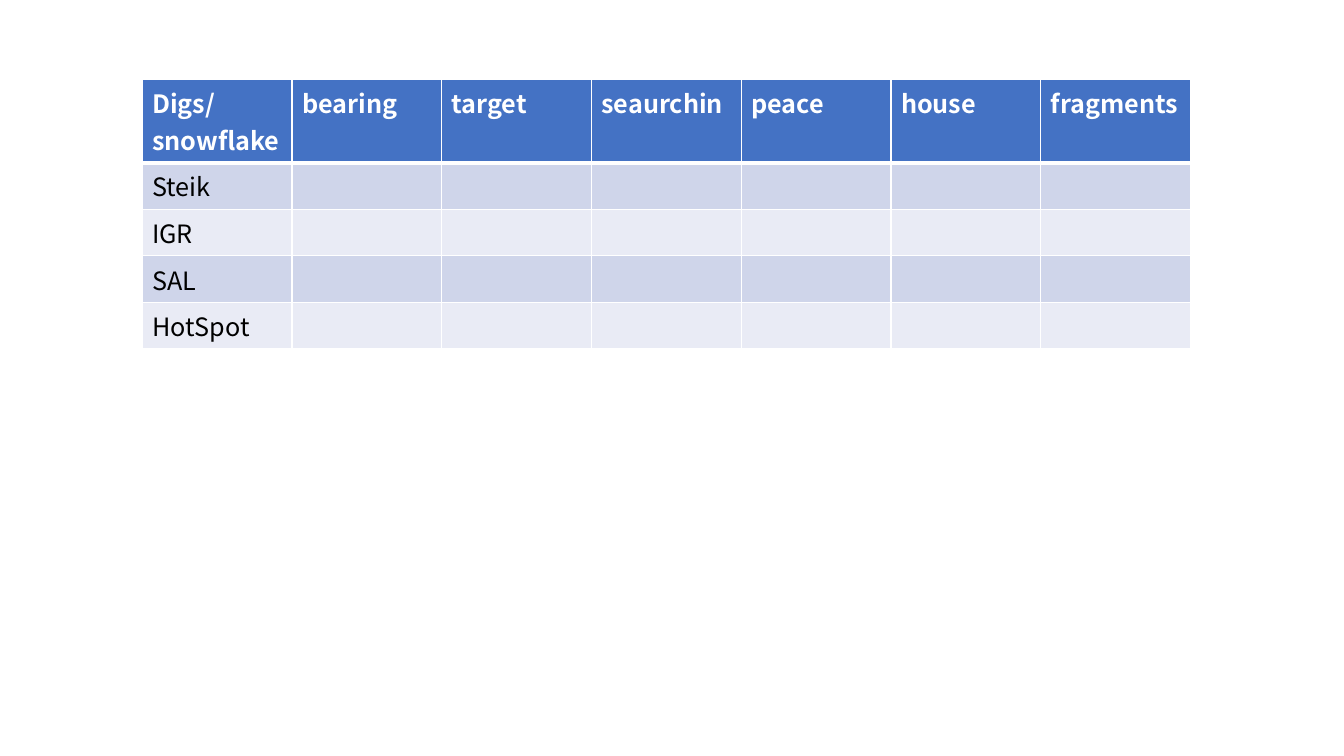
from dataclasses import dataclass

from lxml.etree import SubElement
from pptx import Presentation
from pptx.dml.color import RGBColor
from pptx.oxml.ns import qn
from pptx.util import Inches, Pt


@dataclass(frozen=True)
class Theme:
    """Colours, font and sizes of the slide."""
    font: str = "Noto Sans CJK SC"
    size: int = 18
    header_fill: str = "4472C4"
    band_fills: tuple = ("CFD5EA", "E9EBF5")
    header_text: str = "FFFFFF"
    body_text: str = "000000"
    grid: str = "FFFFFF"
    thin: int = 1
    thick: int = 3


THEME = Theme()
HEADINGS = ["Digs/snowflake", "bearing", "target", "seaurchin", "peace", "house", "fragments"]
METHODS = ["Steik", "IGR", "SAL", "HotSpot"]


def border_cell(cell, widths):
    """Draw the cell borders from a dict of side to width in points."""
    properties = cell._tc.get_or_add_tcPr()
    for side, width in widths.items():
        line = SubElement(properties, qn(f"a:ln{side}"), w=str(Pt(width)))
        fill = SubElement(line, qn("a:solidFill"))
        SubElement(fill, qn("a:srgbClr"), val=THEME.grid)


def write_cell(cell, text, colour, bold):
    """Write text into a cell in the theme font."""
    run = cell.text_frame.paragraphs[0].add_run()
    run.text = text
    text_format = {"name": THEME.font, "size": Pt(THEME.size), "bold": bold}
    for attribute, value in text_format.items():
        setattr(run.font, attribute, value)
    run.font.color.rgb = RGBColor.from_string(colour)


def add_method_table(slide, left, top, width, height, row_height):
    """Place the table of methods against shapes in the given box."""
    rows = [HEADINGS] + [[method] + [""] * (len(HEADINGS) - 1) for method in METHODS]
    frame = slide.shapes.add_table(len(rows), len(HEADINGS), left, top, width, height)
    table = frame.table
    for row_index, texts in enumerate(rows):
        is_header = row_index == 0
        table.rows[row_index].height = row_height
        fill = THEME.header_fill if is_header else THEME.band_fills[(row_index - 1) % 2]
        colour = THEME.header_text if is_header else THEME.body_text
        widths = {
            "L": THEME.thin,
            "R": THEME.thin,
            "T": THEME.thick if row_index == 1 else THEME.thin,
            "B": THEME.thick if is_header else THEME.thin,
        }
        for column_index, text in enumerate(texts):
            cell = table.cell(row_index, column_index)
            border_cell(cell, widths)
            cell.fill.solid()
            cell.fill.fore_color.rgb = RGBColor.from_string(fill)
            if text:
                write_cell(cell, text, colour, is_header)
    frame.height = height


def main():
    """Build the slide and save it."""
    presentation = Presentation()
    presentation.slide_width = Inches(13.33)
    presentation.slide_height = Inches(7.5)
    slide = presentation.slides.add_slide(presentation.slide_layouts[6])
    add_method_table(slide, Inches(1.41), Inches(0.79), Inches(10.4), Inches(2.32), Inches(0.41))
    presentation.save("out.pptx")


if __name__ == "__main__":
    main()
